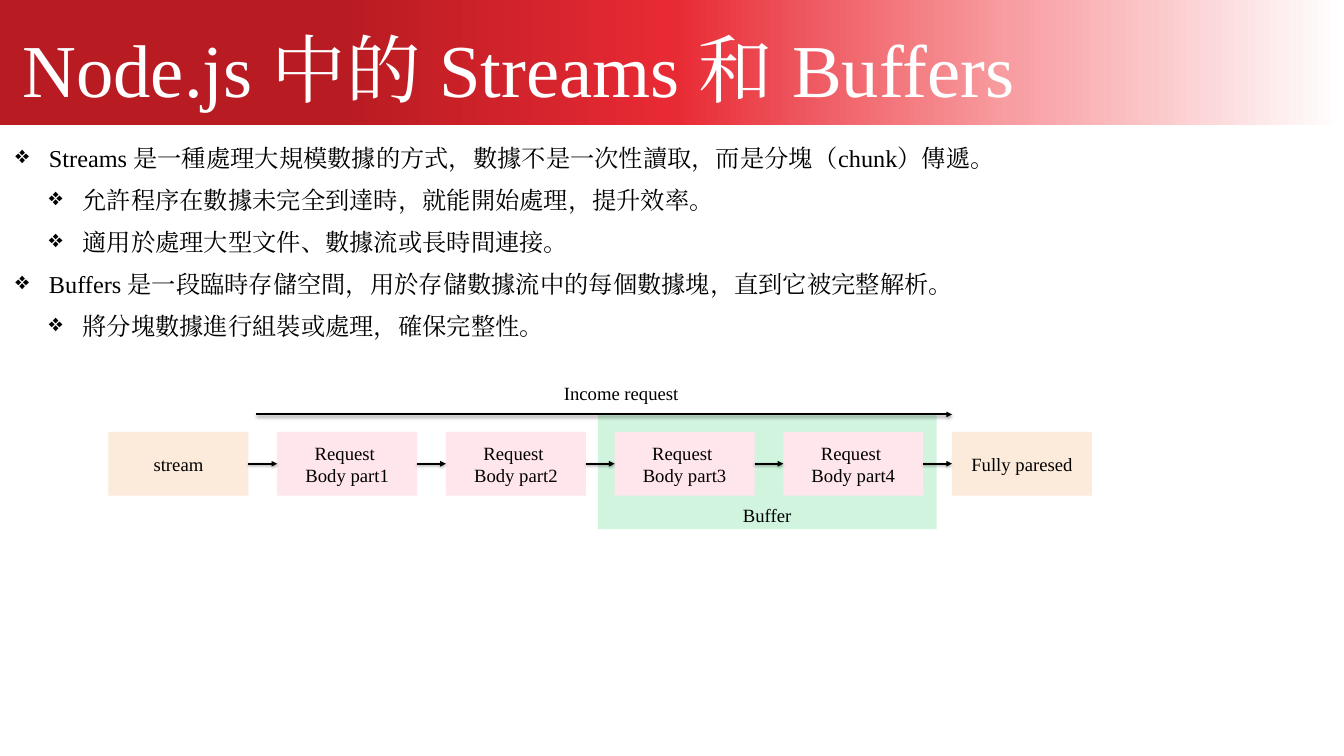
from lxml.etree import SubElement
from pptx import Presentation
from pptx.dml.color import RGBColor
from pptx.enum.shapes import MSO_CONNECTOR, MSO_SHAPE
from pptx.enum.text import MSO_ANCHOR, MSO_AUTO_SIZE, PP_ALIGN
from pptx.oxml.ns import qn
from pptx.util import Pt

PX = 9525
FONT = "Times New Roman"
BLACK, WHITE = "000000", "FFFFFF"
PEACH, PINK, MINT = "FCEADB", "FFE5EC", "D0F4DE"
BAND_STOPS = [(0, "B81B22"), (25, "B81B22"), (50, "E82A34"), (75, "F89DA1"), (100, WHITE)]
POINTS = [
    (0, "Streams 是一種處理大規模數據的方式，數據不是一次性讀取，而是分塊（chunk）傳遞。"),
    (1, "允許程序在數據未完全到達時，就能開始處理，提升效率。"),
    (1, "適用於處理大型文件、數據流或長時間連接。"),
    (0, "Buffers 是一段臨時存儲空間，用於存儲數據流中的每個數據塊，直到它被完整解析。"),
    (1, "將分塊數據進行組裝或處理，確保完整性。"),
]
STAGES = [("stream", PEACH)]
STAGES += [(f"Request \nBody part{n}", PINK) for n in range(1, 5)]
STAGES += [("Fully paresed", PEACH)]


def px(*values):
    return [round(v * PX) for v in values]


def color(hex_value):
    return RGBColor.from_string(hex_value)


def node(parent, tag, **attrs):
    return SubElement(parent, qn(tag), {k: str(v) for k, v in attrs.items()})


def write(p, text, size, hex_value=BLACK):
    r = p.add_run()
    r.text = text
    for name, value in {"size": Pt(size), "name": FONT}.items():
        setattr(r.font, name, value)
    r.font.color.rgb = color(hex_value)
    node(r.font._element, "a:ea", typeface=FONT)


def add_text(s, x, y, w, h, margin=None):
    tf = s.shapes.add_textbox(*px(x, y, w, h)).text_frame
    fmt = {"word_wrap": True, "auto_size": MSO_AUTO_SIZE.SHAPE_TO_FIT_TEXT}
    if margin is not None:
        fmt.update({f"margin_{side}": margin for side in ("left", "top", "right", "bottom")})
    for name, value in fmt.items():
        setattr(tf, name, value)
    return tf


def add_block(s, x, y, w, h, fill=None, text="", anchor=MSO_ANCHOR.MIDDLE):
    sp = s.shapes.add_shape(MSO_SHAPE.RECTANGLE, *px(x, y, w, h))
    sp.shadow.inherit = False
    sp.line.fill.background()
    if fill:
        sp.fill.solid()
        sp.fill.fore_color.rgb = color(fill)
    tf = sp.text_frame
    tf.vertical_anchor = anchor
    for i, line in enumerate(text.split("\n") if text else []):
        p = tf.add_paragraph() if i else tf.paragraphs[0]
        p.alignment = PP_ALIGN.CENTER
        write(p, line, 20)
    return sp


def add_arrow(s, x1, y1, x2, y2):
    c = s.shapes.add_connector(MSO_CONNECTOR.STRAIGHT, *px(x1, y1, x2, y2))
    c.line.width = Pt(2)
    c.line.color.rgb = color(BLACK)
    node(c.line._get_or_add_ln(), "a:tailEnd", type="triangle")
    effects = node(c._element.spPr, "a:effectLst")
    shadow = node(effects, "a:outerShdw", blurRad=Pt(3.1), dist=Pt(1.6), dir=5400000, rotWithShape=0)
    node(node(shadow, "a:srgbClr", val=BLACK), "a:alpha", val=38000)
    return c


def add_header(s, x, y, w, h):
    band = add_block(s, x, y, w, h)
    band.fill.gradient()
    band.fill.gradient_angle = 0
    stops = band._element.spPr.find(".//" + qn("a:gsLst"))
    stops.clear()
    for pos, hex_value in BAND_STOPS:
        node(node(stops, "a:gs", pos=pos * 1000), "a:srgbClr", val=hex_value)
    p = add_text(s, x + 32, y + 12, w - 232, 139, 0).paragraphs[0]
    p.line_spacing = Pt(112)
    write(p, "Node.js 中的 Streams 和 Buffers", 80, WHITE)


def add_points(s, x, y, w, h):
    tf = add_text(s, x, y, w, h, 0)
    for i, (level, text) in enumerate(POINTS):
        p = tf.add_paragraph() if i else tf.paragraphs[0]
        p.level = level
        p.line_spacing = Pt(44.8)
        pPr = p._p.get_or_add_pPr()
        pPr.set("marL", str(48 * PX * (level + 1)))
        pPr.set("indent", str(-48 * PX))
        node(pPr, "a:buChar", char="❖")
        write(p, text, 26)


def add_flow(s, x, y, w, h):
    box_w, box_h, pitch, top = 200, 91, 241, y + 76
    add_block(s, x + 699, y + 52, 2 * pitch + 2, h - 52, MINT, "Buffer", MSO_ANCHOR.BOTTOM)
    boxes = [add_block(s, x + i * pitch, top, box_w, box_h, fill, text)
             for i, (text, fill) in enumerate(STAGES)]
    mid = top + box_h / 2
    for i, (left, right) in enumerate(zip(boxes, boxes[1:])):
        c = add_arrow(s, x + i * pitch + box_w, mid, x + (i + 1) * pitch, mid)
        c.begin_connect(left, 3)
        c.end_connect(right, 1)
    add_arrow(s, x + 211, y + 51, x + w - box_w, y + 51)
    write(add_text(s, x + 641, y, 200, 42).paragraphs[0], "Income request", 20)


def main():
    prs = Presentation()
    prs.slide_width, prs.slide_height = px(1920, 1080)
    s = prs.slides.add_slide(prs.slide_layouts[6])
    add_header(s, 0, 0, 1920, 178)
    add_points(s, 22, 187, 1874, 296)
    add_flow(s, 155, 541, 1405, 215)
    prs.save("out.pptx")


if __name__ == "__main__":
    main()
